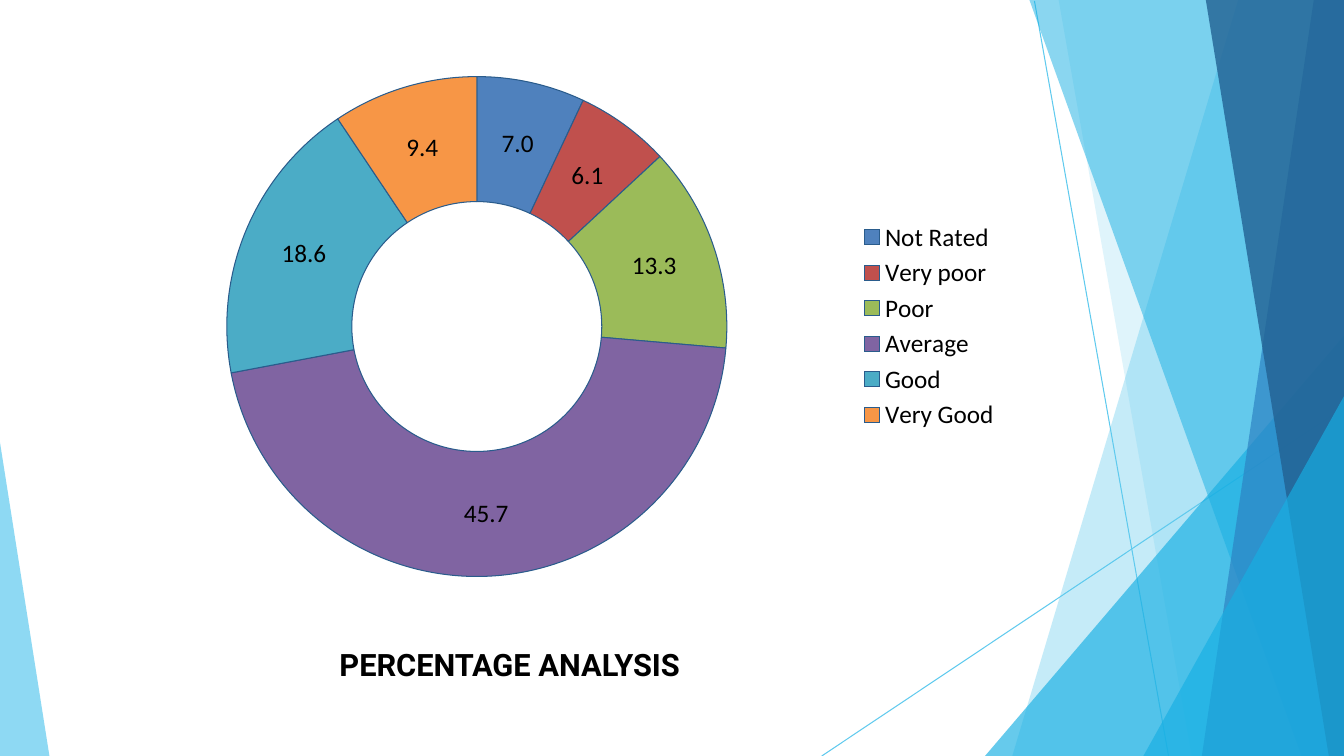
from lxml import etree
from pptx import Presentation
from pptx import util as u
from pptx.chart.data import CategoryChartData
from pptx.dml.color import RGBColor
from pptx.enum import chart as ch, shapes, text
from pptx.oxml import parse_xml
from pptx.oxml.ns import nsdecls, qn

WIDTH, HEIGHT = 13.33, 7.5
RING = 4.96
COLOURS = {
    "sky": "5FCAEE", "cyan": "17AFE3", "blue": "2D83C3", "navy": "226192",
    "outline": "2A5C8C", "ink": "000000",
}
RATINGS = {
    "Not Rated": (7.0, "4F81BD"), "Very poor": (6.1, "C0504D"),
    "Poor": (13.3, "9BBB59"), "Average": (45.7, "8064A2"),
    "Good ": (18.6, "4BACC6"), "Very Good": (9.4, "F79646"),
}
RAYS = [((10.26, 0.01), (11.59, HEIGHT)), ((WIDTH, 4.04), (8.15, HEIGHT))]
FACETS = [
    ("sky", 36, 12.28, 0, 10.04),
    ("sky", 20, 10.5, 0, 11.82),
    ("cyan", 66, WIDTH, 3.33, 9.77),
    ("cyan", 50, 10.21, 0, 12.91),
    ("blue", 70, 13.03, 0, 11.92),
    ("navy", 80, 11.96, 0, 13.18),
    ("cyan", 66, WIDTH, 3.93, 11.34),
]


def rgb(name):
    """Return the colour for a palette name or a hex string."""
    return RGBColor.from_string(COLOURS.get(name, name))


def add_ray(slide, start, end):
    """Draw one thin line between two points."""
    ray = slide.shapes.add_connector(
        shapes.MSO_CONNECTOR.STRAIGHT, *map(u.Inches, start + end))
    ray.line.color.rgb = rgb("sky")
    ray.line.width = u.Pt(0.75)
    etree.SubElement(ray._element.spPr, qn("a:effectLst"))


def add_facet(slide, colour, opacity, points):
    """Draw one translucent polygon without an outline."""
    corners = [(u.Inches(x), u.Inches(y)) for x, y in points]
    builder = slide.shapes.build_freeform(*corners[0])
    builder.add_line_segments(corners[1:], close=True)
    facet = builder.convert_to_shape()
    facet.shadow.inherit = False
    facet.line.fill.background()
    facet.fill.solid()
    facet.fill.fore_color.rgb = rgb(colour)
    tint = facet._element.spPr.find(".//" + qn("a:srgbClr"))
    etree.SubElement(tint, qn("a:alpha"), val=str(opacity * 1000))


def add_backdrop(slide):
    """Place the rays and facets along both slide edges."""
    for start, end in RAYS:
        add_ray(slide, start, end)
    for colour, opacity, top_x, top_y, foot_x in FACETS:
        top = dict.fromkeys([(WIDTH, top_y), (top_x, top_y)])
        add_facet(slide, colour, opacity,
                  [*top, (foot_x, HEIGHT), (WIDTH, HEIGHT)])
    add_facet(slide, "sky", 70, [(0, 4.39), (0, HEIGHT), (0.49, HEIGHT)])


def add_ratings(slide, box):
    """Place the ratings doughnut and its legend in the box."""
    data = CategoryChartData(number_format="0.0")
    data.categories = list(RATINGS)
    data.add_series("Series 1", [value for value, _ in RATINGS.values()])
    chart = slide.shapes.add_chart(
        ch.XL_CHART_TYPE.DOUGHNUT, *map(u.Inches, box), data).chart
    chart.has_title = False
    chart.font.name = "Calibri"
    chart.font.size = u.Pt(18)
    chart.font.color.rgb = rgb("ink")
    chart.has_legend = True
    chart.legend.position = ch.XL_LEGEND_POSITION.RIGHT
    chart.legend.include_in_layout = False

    doughnut = chart.plots[0]
    doughnut.vary_by_categories = True
    doughnut._element.find(qn("c:holeSize")).set("val", "50")
    for index, (_, colour) in enumerate(RATINGS.values()):
        sector = doughnut.series[0].points[index].format
        sector.fill.solid()
        sector.fill.fore_color.rgb = rgb(colour)
        sector.line.color.rgb = rgb("outline")
        sector.line.width = u.Pt(0.75)
    doughnut.has_data_labels = True
    labels = doughnut.data_labels
    labels.show_value = True
    labels.show_percentage = False
    labels.number_format = "0.0"
    labels.number_format_is_linked = False

    area = chart._chartSpace.chart.plotArea
    for layout in area.findall(qn("c:layout")):
        area.remove(layout)
    width, height = box[2:]
    shares = {"x": 1.29 / width, "y": 0.14 / height,
              "w": RING / width, "h": RING / height}
    sizes = "".join(f'<c:{k} val="{v}"/>' for k, v in shares.items())
    area.insert(0, parse_xml(
        f'<c:layout {nsdecls("c")}><c:manualLayout>'
        '<c:layoutTarget val="inner"/><c:xMode val="edge"/>'
        f'<c:yMode val="edge"/>{sizes}</c:manualLayout></c:layout>'))


def add_caption(slide, box):
    """Place the bold centred caption in the box."""
    frame = slide.shapes.add_textbox(*map(u.Inches, box)).text_frame
    frame.word_wrap = True
    frame.vertical_anchor = text.MSO_ANCHOR.TOP
    frame.margin_left = frame.margin_right = 0
    frame.margin_top = frame.margin_bottom = 0
    line = frame.paragraphs[0]
    line.alignment = text.PP_ALIGN.CENTER
    caption = line.add_run()
    caption.text = "PERCENTAGE ANALYSIS"
    caption.font.name = "Roboto"
    caption.font.size = u.Pt(22)
    caption.font.bold = True
    caption.font.color.rgb = rgb("ink")


def main():
    """Build and save the slide."""
    deck = Presentation()
    deck.slide_width, deck.slide_height = u.Inches(WIDTH), u.Inches(HEIGHT)
    slide = deck.slides.add_slide(deck.slide_layouts[6])
    add_backdrop(slide)
    add_caption(slide, (3.23, 6.41, 3.65, 0.74))
    add_ratings(slide, (0.96, 0.62, 9.06, 5.23))
    deck.save("out.pptx")


if __name__ == "__main__":
    main()
